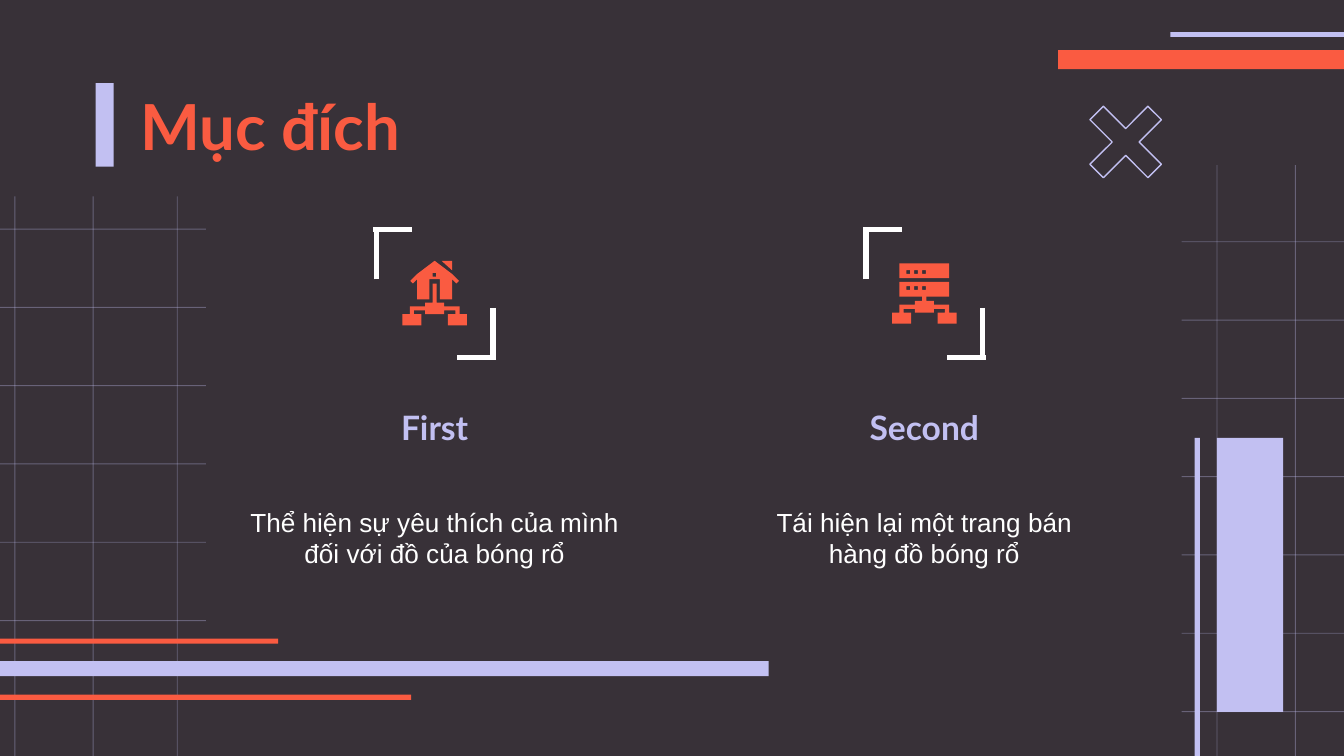
from pptx import Presentation
from pptx.dml.color import RGBColor
from pptx.enum.shapes import MSO_CONNECTOR, MSO_SHAPE
from pptx.enum.text import MSO_ANCHOR, PP_ALIGN
from pptx.oxml.ns import qn
from pptx.util import Cm, Pt
from lxml import etree

LINE = MSO_CONNECTOR.STRAIGHT
RECT, CROSS = MSO_SHAPE.RECTANGLE, MSO_SHAPE.MATH_MULTIPLY
MID = MSO_ANCHOR.MIDDLE
LEFT, CENTER = PP_ALIGN.LEFT, PP_ALIGN.CENTER

WIDE, HIGH = 25.4, 14.29
THEME = {
    "back": "383138", "lilac": "C2C0F2", "coral": "FA5B41", "white": "FFFFFF",
    "head": "Lato", "body": "Arial",
    "big": 34, "mid": 18, "small": 14,
    "grid": 0.5, "thin": 0.75, "thick": 3,
}

TITLE = "Mục đích"
ITEMS = [
    {"name": "First", "text": "Thể hiện sự yêu thích của mình đối với đồ của bóng rổ",
     "left": 4.34, "width": 7.75, "icon": "house"},
    {"name": "Second", "text": "Tái hiện lại một trang bán hàng đồ bóng rổ",
     "left": 13.89, "width": 7.16, "icon": "server"},
]
GRIDS = [
    {"left": 22.33, "right": WIDE, "top": 3.12, "first": 4.57, "cols": [23.0, 24.48]},
    {"left": 0, "right": 3.89, "top": 3.71, "first": 4.33, "cols": [0.28, 1.76, 3.35]},
]
ROWS, STEP = 7, 1.48
BARS = [
    ("lilac", 22.58, 8.28, 0.1, 6.01),
    ("coral", 20.0, 0.95, 5.4, 0.36),
    ("lilac", 0, 12.5, 14.53, 0.28),
    ("coral", 0, 13.13, 7.77, 0.1),
    ("coral", 0, 12.07, 5.26, 0.1),
    ("lilac", 23.0, 8.28, 1.25, 5.18),
    ("lilac", 22.12, 0.61, 3.28, 0.09),
    ("lilac", 1.81, 1.57, 0.34, 1.58),
]
ICON_Y = 5.55
CORNER = [(-1.1, -0.27, -1.1, -1.21), (-1.16, -1.21, -0.42, -1.21)]
TREE = [(0.18, 0.17), (0.18, 0.24), (0.47, 0.24), (0.47, 0.39), (0.61, 0.39),
        (0.61, 0.6), (0.25, 0.6), (0.25, 0.39), (0.39, 0.39), (0.39, 0.32),
        (0.18, 0.32), (0.18, 0.39)]
HOUSE = [(0, -0.62), (0.33, -0.37), (0.46, -0.24), (0.41, -0.19), (0.33, -0.27),
         (0.33, 0.11), (0.1, 0.11), (0.1, -0.27)]
FLUE = [(0.13, -0.62), (0.33, -0.62), (0.33, -0.44)]
RACKS = [(-0.57, -0.44), (-0.22, -0.14)]


def tint(name):
    return RGBColor.from_string(THEME[name])


def box(x, y, w, h):
    return [(x, y), (x + w, y), (x + w, y + h), (x, y + h)]


def mirror(half):
    return half + [(-x, y) for x, y in reversed(half)]


def tree(top, lift=0):
    half = [(0.04, top), (0.04, 0.17)] + TREE
    return mirror([(x, y - lift) for x, y in half])


def rack(top, dot):
    return [box(-0.47, top, 0.94, 0.28)] + [
        box(-0.34 + 0.15 * i, dot, 0.07, 0.07) for i in range(3)]


ICONS = {
    "house": [[tree(-0.19)], [mirror(HOUSE), box(-0.04, -0.39, 0.07, 0.07)], [FLUE]],
    "server": [[tree(0.05, 0.03)]] + [rack(*spot) for spot in RACKS],
}


def add_line(x1, y1, x2, y2, color, width, alpha=None):
    line = slide.shapes.add_connector(LINE, Cm(x1), Cm(y1), Cm(x2), Cm(y2))
    line.line.color.rgb = tint(color)
    line.line.width = Pt(THEME[width])
    props = line.element.spPr
    if alpha:
        fill = props.find(".//" + qn("a:srgbClr"))
        etree.SubElement(fill, qn("a:alpha")).set("val", str(alpha * 1000))
    etree.SubElement(props, qn("a:effectLst"))


def paint(shape, color):
    shape.shadow.inherit = False
    shape.fill.solid()
    shape.fill.fore_color.rgb = tint(color)
    shape.line.fill.background()


def add_text(text, x, y, w, h, *, font, size, color, bold=False, align=CENTER):
    frame = slide.shapes.add_textbox(Cm(x), Cm(y), Cm(w), Cm(h)).text_frame
    frame.word_wrap = True
    frame.vertical_anchor = MID
    frame.margin_left = frame.margin_right = Cm(0.25)
    frame.margin_top = frame.margin_bottom = Cm(0.25)
    para = frame.paragraphs[0]
    para.alignment = align
    run = para.add_run()
    run.text = text
    run.font.name = THEME[font]
    run.font.size = Pt(THEME[size])
    run.font.bold = bold
    run.font.color.rgb = tint(color)


def add_form(loops, mid):
    loops = [[(Cm(mid + x), Cm(ICON_Y + y)) for x, y in loop] for loop in loops]
    form = slide.shapes.build_freeform(*loops[0][0], scale=1.0)
    for i, loop in enumerate(loops):
        if i:
            form.move_to(*loop[0])
        form.add_line_segments(loop[1:], close=True)
    paint(form.convert_to_shape(), "coral")


deck = Presentation()
deck.slide_width, deck.slide_height = Cm(WIDE), Cm(HIGH)
slide = deck.slides.add_slide(deck.slide_layouts[6])
slide.background.fill.solid()
slide.background.fill.fore_color.rgb = tint("back")

for grid in GRIDS:
    for i in range(ROWS):
        y = grid["first"] + STEP * i
        add_line(grid["left"], y, grid["right"], y, "lilac", "grid", 35)
    for x in grid["cols"]:
        add_line(x, grid["top"], x, HIGH, "lilac", "grid", 35)

for color, *place in BARS:
    paint(slide.shapes.add_shape(RECT, *map(Cm, place)), color)

add_text(TITLE, 2.41, 1.5, 20.52, 1.75, font="head", size="big",
         color="coral", bold=True, align=LEFT)

for item in ITEMS:
    left, width = item["left"], item["width"]
    mid = left + width / 2
    add_text(item["name"], left, 7.67, width, 0.79, font="head", size="mid",
             color="lilac", bold=True)
    add_text(item["text"], left, 8.69, width, 2.95, font="body", size="small",
             color="white")
    for sign in (1, -1):
        for x1, y1, x2, y2 in CORNER:
            add_line(mid + sign * x1, ICON_Y + sign * y1,
                     mid + sign * x2, ICON_Y + sign * y2, "white", "thick")
    for loops in ICONS[item["icon"]]:
        add_form(loops, mid)

cross = slide.shapes.add_shape(CROSS, Cm(20.22), Cm(1.63), Cm(2.11), Cm(2.11))
cross.adjustments[0] = 0.17
cross.shadow.inherit = False
cross.fill.background()
cross.line.color.rgb = tint("lilac")
cross.line.width = Pt(THEME["thin"])

deck.save("out.pptx")
